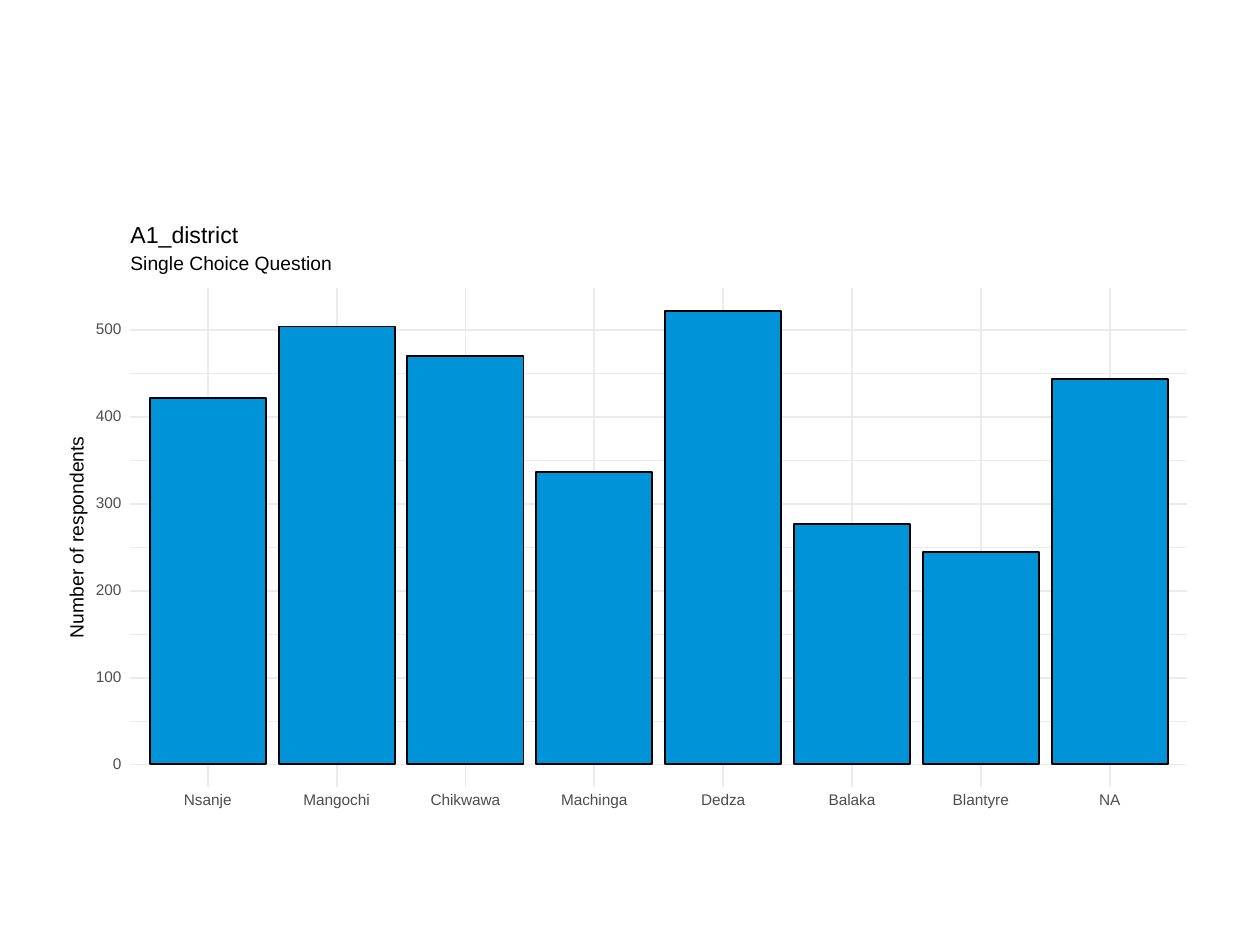
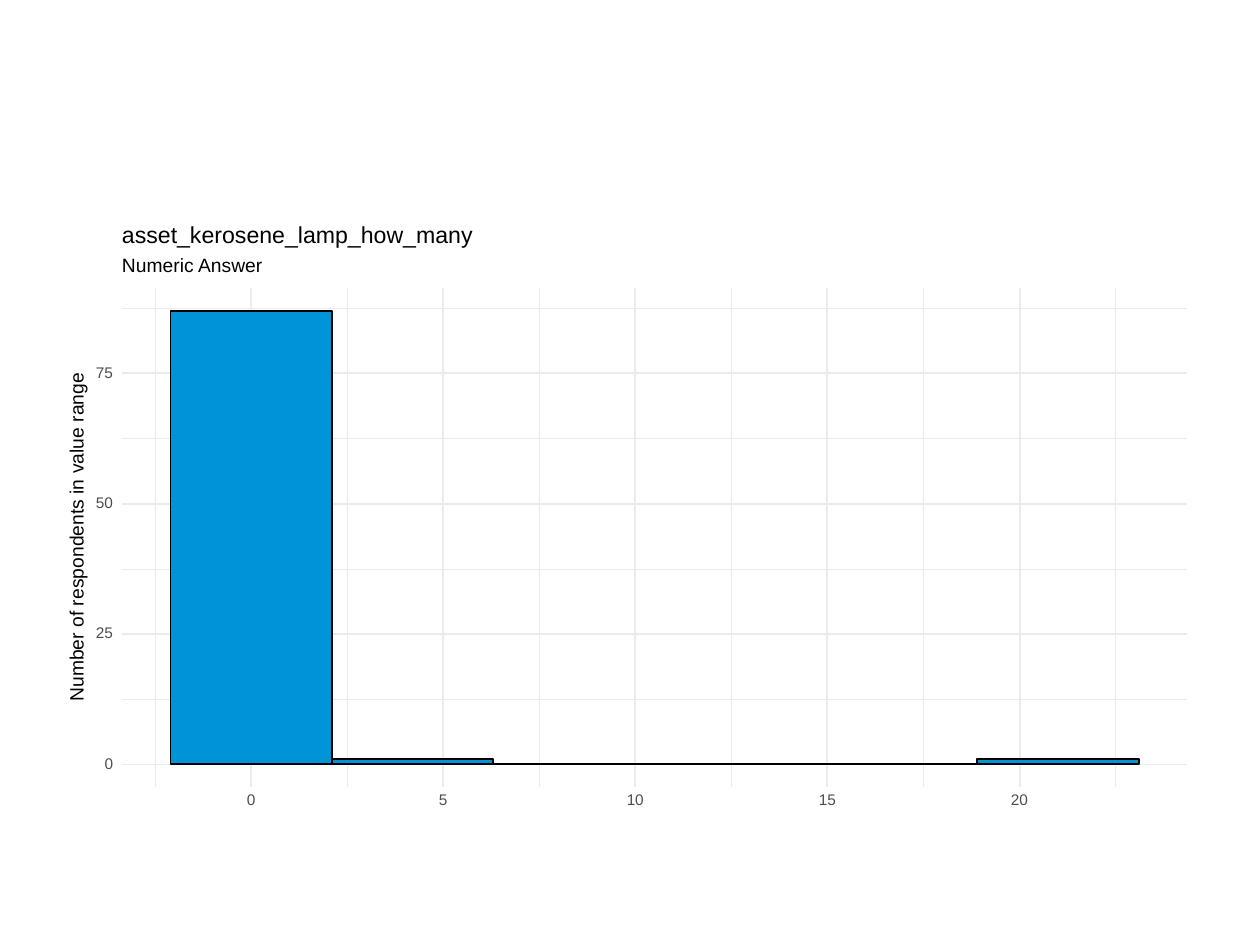
from dataclasses import dataclass

import pptx
import pptx.chart.data
import pptx.dml.color
import pptx.enum.chart
import pptx.enum.shapes
import pptx.enum.text
import pptx.oxml
import pptx.oxml.ns
import pptx.util
from pptx.util import Cm

FONT = "Arial"
WHITE, BLACK, GRID, BAR, TICK = "FFFFFF", "000000", "EBEBEB", "0093D8", "4D4D4D"
THIN, THICK = 0.53, 1.07
TOP, HEIGHT, RIGHT = 5.81, 10.06, 23.93
BOTTOM = TOP + HEIGHT
MARGIN = 0.05
TICK_HEIGHT, TICK_GAP = 0.23, 0.18
CATEGORY_LABEL_Y = 16.14
ALIGN = pptx.enum.text.PP_ALIGN


@dataclass
class Panel:
    left: float
    values: list
    padding: float

    def x(self, bars):
        share = (bars + self.padding) / (len(self.values) + 2 * self.padding)
        return self.left + (RIGHT - self.left) * share

    def y(self, value):
        share = (value / max(self.values) + MARGIN) / (1 + 2 * MARGIN)
        return BOTTOM - HEIGHT * share


def paint(target, color):
    target.solid()
    target.fore_color.rgb = pptx.dml.color.RGBColor.from_string(color)


def add_background(slide):
    background = slide.shapes.add_shape(
        pptx.enum.shapes.MSO_SHAPE.RECTANGLE, Cm(1.27), Cm(4.45), Cm(22.86), Cm(12.57))
    background.shadow.inherit = False
    paint(background.fill, WHITE)
    paint(background.line.fill, WHITE)
    background.line.width = pptx.util.Pt(0.75)


def add_grid_line(slide, x1, y1, x2, y2, weight):
    line = slide.shapes.add_connector(
        pptx.enum.shapes.MSO_CONNECTOR.STRAIGHT, Cm(x1), Cm(y1), Cm(x2), Cm(y2))
    paint(line.line.fill, GRID)
    line.line.width = pptx.util.Pt(weight)
    line._element.spPr.append(pptx.oxml.parse_xml(
        f'<a:effectLst {pptx.oxml.ns.nsdecls("a")}/>'))


def add_value_lines(slide, panel, values, weight):
    for value in values:
        y = panel.y(value)
        add_grid_line(slide, panel.left, y, RIGHT, y, weight)


def add_position_lines(slide, panel, positions, weight):
    for position in positions:
        x = panel.x(position)
        add_grid_line(slide, x, BOTTOM, x, TOP, weight)


def add_text(slide, text, left, top, width, height, size, color=BLACK,
             align=ALIGN.LEFT, rotation=0):
    box = slide.shapes.add_textbox(Cm(left), Cm(top), Cm(width), Cm(height))
    box.rotation = rotation
    frame = box.text_frame
    frame.word_wrap = False
    frame.vertical_anchor = pptx.enum.text.MSO_ANCHOR.MIDDLE
    frame.margin_left = frame.margin_right = frame.margin_top = frame.margin_bottom = 0
    paragraph = frame.paragraphs[0]
    paragraph.alignment = align
    paragraph.line_spacing = pptx.util.Pt(size)
    run = paragraph.add_run()
    run.text = text
    run.font.name = FONT
    run.font.size = pptx.util.Pt(size)
    paint(run.font.fill, color)


def label_width(label):
    return 0.2 * len(label) + 0.1


def add_value_labels(slide, panel, values):
    for value in values:
        width = label_width(str(value))
        add_text(slide, str(value), panel.left - TICK_GAP - width,
                 panel.y(value) - TICK_HEIGHT / 2, width, TICK_HEIGHT, 8.8, TICK, ALIGN.RIGHT)


def add_position_labels(slide, panel, positions, labels):
    for position, label in zip(positions, labels):
        width = label_width(label)
        add_text(slide, label, panel.x(position) - width / 2,
                 CATEGORY_LABEL_Y - TICK_HEIGHT / 2, width, TICK_HEIGHT, 8.8, TICK, ALIGN.CENTER)


def place_plot(chart, panel):
    bars = len(panel.values) + 2 * panel.padding
    rows = 1 + 2 * MARGIN
    namespace = pptx.oxml.ns.nsdecls("c", "a")
    plot_area = chart.element.find(".//" + pptx.oxml.ns.qn("c:plotArea"))
    for layout in plot_area.findall(pptx.oxml.ns.qn("c:layout")):
        plot_area.remove(layout)
    bounds = {"x": panel.padding / bars, "y": MARGIN / rows,
              "w": len(panel.values) / bars, "h": 1 / rows}
    sizes = "".join(f'<c:{key} val="{value:.5f}"/>' for key, value in bounds.items())
    plot_area.insert(0, pptx.oxml.parse_xml(
        f'<c:layout {namespace}><c:manualLayout><c:layoutTarget val="inner"/>'
        f'<c:xMode val="edge"/><c:yMode val="edge"/>{sizes}</c:manualLayout></c:layout>'))
    clear = f'<c:spPr {namespace}><a:noFill/><a:ln><a:noFill/></a:ln></c:spPr>'
    plot_area.append(pptx.oxml.parse_xml(clear))
    chart.element.find(pptx.oxml.ns.qn("c:chart")).addnext(pptx.oxml.parse_xml(clear))


def add_bars(slide, panel, categories, series_name, gap):
    data = pptx.chart.data.CategoryChartData()
    data.categories = categories
    data.add_series(series_name, panel.values)
    chart = slide.shapes.add_chart(
        pptx.enum.chart.XL_CHART_TYPE.COLUMN_CLUSTERED, Cm(panel.left), Cm(TOP),
        Cm(RIGHT - panel.left), Cm(HEIGHT), data).chart
    place_plot(chart, panel)
    chart.has_legend = False
    chart.has_title = False
    chart.font.name = FONT
    chart.font.size = pptx.util.Pt(8.8)
    paint(chart.font.fill, TICK)
    chart.value_axis.minimum_scale = 0
    chart.value_axis.maximum_scale = max(panel.values)
    chart.value_axis.has_major_gridlines = False
    chart.value_axis.visible = False
    chart.category_axis.visible = False
    plot = chart.plots[0]
    plot.gap_width = gap
    plot.vary_by_categories = False
    bars = plot.series[0]
    bars.invert_if_negative = False
    paint(bars.format.fill, BAR)
    paint(bars.format.line.fill, BLACK)
    bars.format.line.width = pptx.util.Pt(THICK)


def add_headings(slide, panel, title, title_width, subtitle, subtitle_size,
                 axis_title, axis_width):
    subtitle_width, subtitle_height = subtitle_size
    add_text(slide, axis_title, 1.57 - axis_width / 2, 10.65, axis_width, 0.36, 11,
             align=ALIGN.CENTER, rotation=270)
    add_text(slide, subtitle, panel.left, 5.51 - subtitle_height,
             subtitle_width, subtitle_height, 11)
    add_text(slide, title, panel.left, 4.55, title_width, 0.43, 13.2)


def add_district_slide(slide):
    respondents = {"Nsanje": 422, "Mangochi": 504, "Chikwawa": 470, "Machinga": 337,
                   "Dedza": 522, "Balaka": 277, "Blantyre": 244, "NA": 444}
    panel = Panel(2.63, list(respondents.values()), 0.1)
    counts = range(0, 501, 100)
    centres = [index + 0.5 for index in range(len(respondents))]
    axis_title = "Number of respondents"
    add_background(slide)
    add_value_lines(slide, panel, range(50, 451, 100), THIN)
    add_value_lines(slide, panel, counts, THICK)
    add_position_lines(slide, panel, centres, THICK)
    add_bars(slide, panel, list(respondents), axis_title, 11)
    add_value_labels(slide, panel, counts)
    add_position_labels(slide, panel, centres, respondents)
    add_headings(slide, panel, "A1_district", 2.5, "Single Choice Question", (4.4, 0.36),
                 axis_title, 4.4)


def add_lamp_slide(slide):
    bin_width = 4.2
    panel = Panel(2.46, [87, 1, 0, 0, 0, 1], 0.3)
    counts = range(0, 76, 25)
    lamps = range(0, 21, 5)
    midpoints = [f"{index * bin_width:.1f}" for index in range(len(panel.values))]
    lamp_positions = [lamp / bin_width + 0.5 for lamp in lamps]
    between_lamps = [(step * 5 - 2.5) / bin_width + 0.5 for step in range(6)]
    axis_title = "Number of respondents in value range"
    add_background(slide)
    add_value_lines(slide, panel, [count + 12.5 for count in counts], THIN)
    add_position_lines(slide, panel, between_lamps, THIN)
    add_value_lines(slide, panel, counts, THICK)
    add_position_lines(slide, panel, lamp_positions, THICK)
    add_bars(slide, panel, midpoints, axis_title, 0)
    add_value_labels(slide, panel, counts)
    add_position_labels(slide, panel, lamp_positions, map(str, lamps))
    add_headings(slide, panel, "asset_kerosene_lamp_how_many", 7.5,
                 "Numeric Answer", (3.1, 0.28), axis_title, 7.1)


def main():
    presentation = pptx.Presentation()
    presentation.slide_width, presentation.slide_height = Cm(25.4), Cm(19.05)
    blank = presentation.slide_layouts[6]
    for build in (add_district_slide, add_lamp_slide):
        build(presentation.slides.add_slide(blank))
    presentation.save("out.pptx")


if __name__ == "__main__":
    main()
